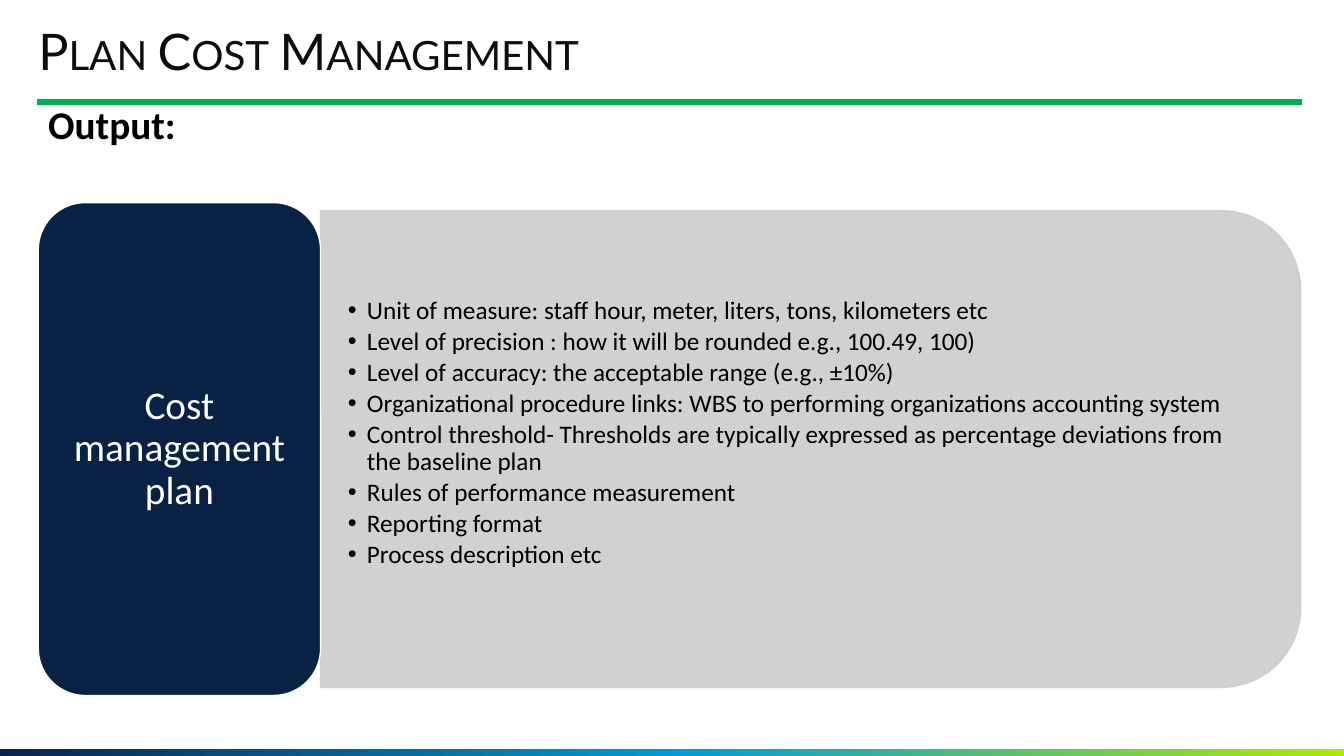
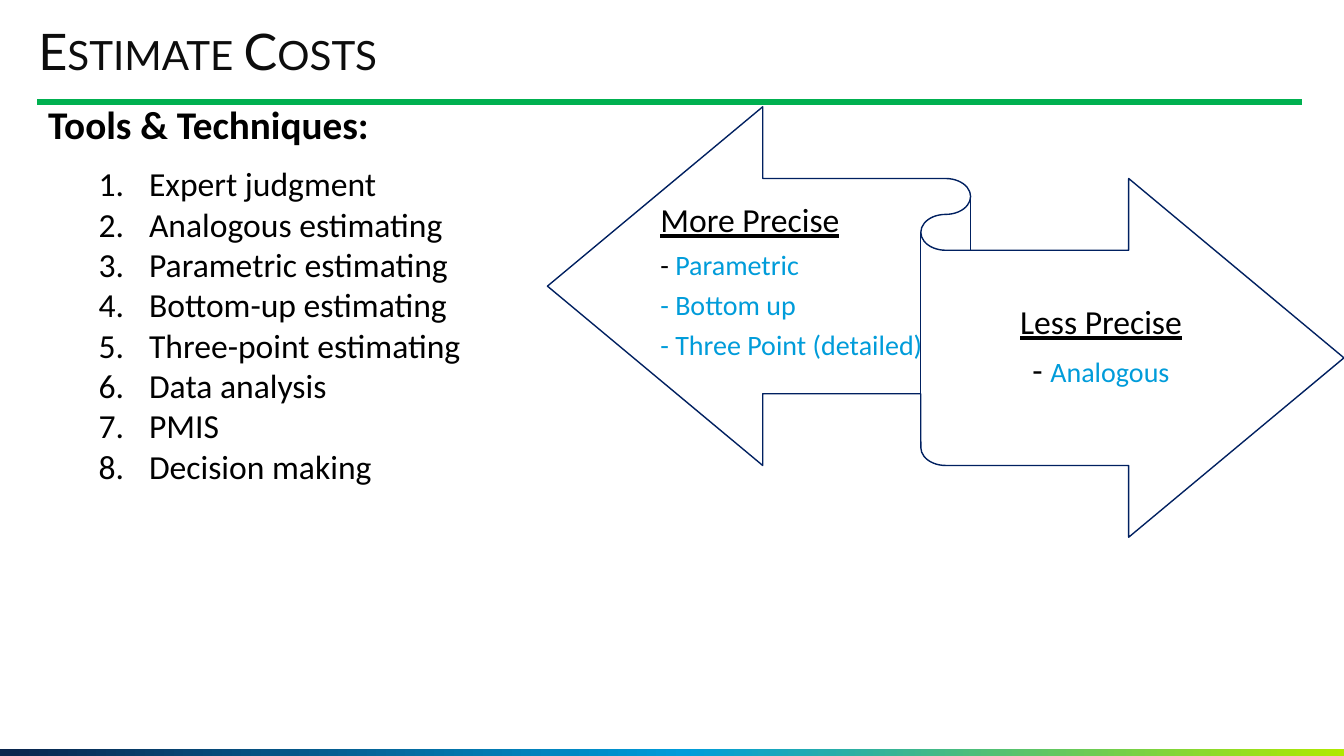
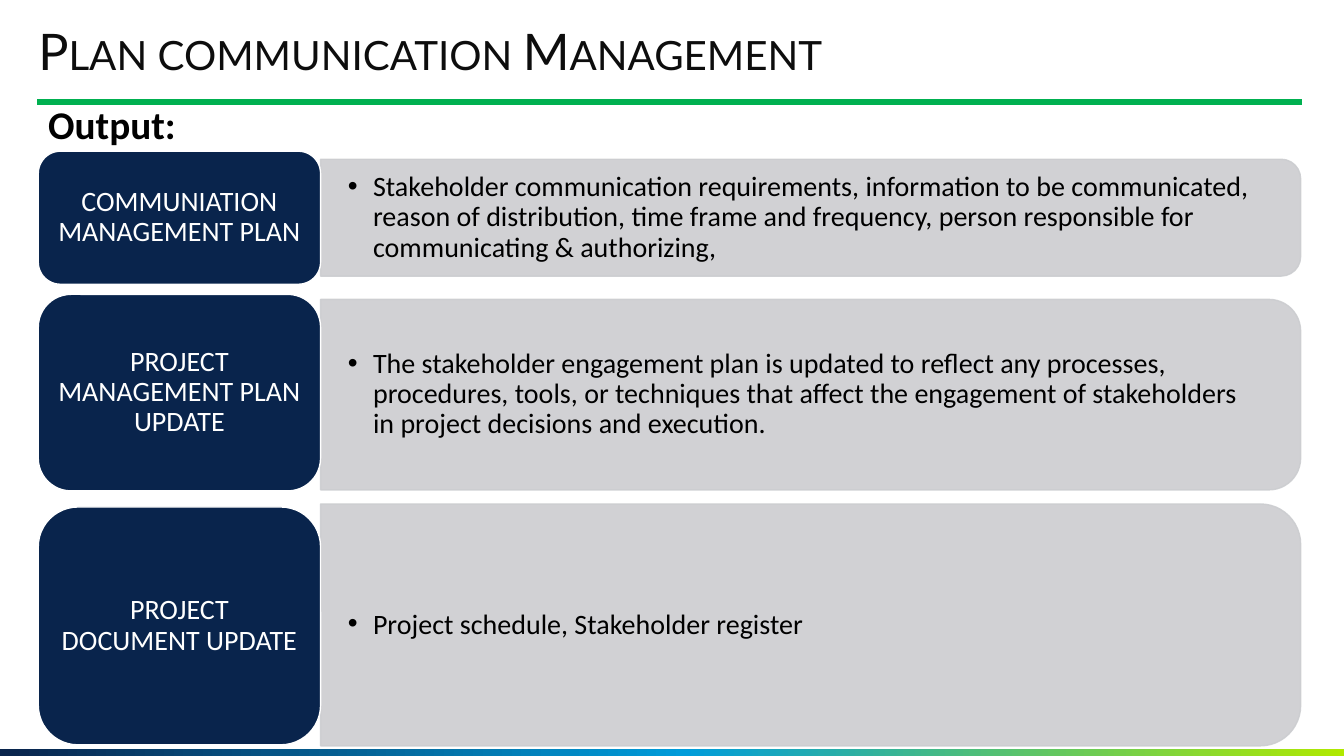
from copy import deepcopy

from lxml.etree import SubElement
from pptx import Presentation
from pptx.dml.color import RGBColor
from pptx.enum.shapes import MSO_CONNECTOR, MSO_SHAPE
from pptx.enum.text import MSO_ANCHOR, PP_ALIGN
from pptx.oxml.ns import qn
from pptx.util import Inches, Pt

BLACK = RGBColor(0x00, 0x00, 0x00)
WHITE = RGBColor(0xFF, 0xFF, 0xFF)
INK = RGBColor(0x0D, 0x0D, 0x0D)
NAVY = RGBColor(0x09, 0x24, 0x4C)
DEEP = RGBColor(0x08, 0x21, 0x45)
EDGE = RGBColor(0x00, 0x20, 0x60)
BLUE = RGBColor(0x00, 0x9C, 0xDA)
LIME = RGBColor(0xB0, 0xE9, 0x00)
GREEN = RGBColor(0x00, 0xB0, 0x50)
GREY = RGBColor(0xCC, 0xCD, 0xD0)

WIDE, HIGH = 13.33, 7.5
LEFT = 0.38
LABEL_W, PANEL_X, PANEL_W = 2.8, 3.18, 9.72
CORNER = 0.16667 * 0.29  # text margin that a rounded corner takes, per unit of side


def write(frame, paras, *, size, color=BLACK, font="Calibri", bold=False,
          caps=False, align=PP_ALIGN.LEFT, anchor=MSO_ANCHOR.TOP,
          inset=(0.1, 0.05, 0.1, 0.05), lines=0.9, after=0, bullet=None,
          indent=0, hang=0):
    """Fill a frame; a paragraph is a string or a list of (text, format) runs."""
    frame.word_wrap = True
    frame.vertical_anchor = anchor
    (frame.margin_left, frame.margin_top,
     frame.margin_right, frame.margin_bottom) = map(Inches, inset)
    for i, runs in enumerate(paras):
        para = frame.add_paragraph() if i else frame.paragraphs[0]
        if isinstance(runs, str):
            runs = [(runs, {})]
        if bullet:
            props = para._p.get_or_add_pPr()
            props.set("marL", str(Inches(indent)))
            props.set("indent", str(-Inches(hang)))
            if bullet == "1.":
                SubElement(props, qn("a:buAutoNum"), type="arabicPeriod")
            else:
                SubElement(props, qn("a:buFont"), typeface="Arial")
                SubElement(props, qn("a:buChar"), char=bullet)
        para.alignment = align
        para.line_spacing = lines
        para.space_after = Pt(after * runs[0][1].get("size", size))
        for text, style in runs:
            run = para.add_run()
            run.text = text
            run.font.name = font
            run.font.size = Pt(style.get("size", size))
            run.font.bold = bold
            run.font.underline = style.get("under", False)
            run.font.color.rgb = style.get("color", color)
            if caps:
                run._r.get_or_add_rPr().set("cap", "small")


def add_text(slide, x, y, w, h, paras, **style):
    box = slide.shapes.add_textbox(*map(Inches, (x, y, w, h)))
    write(box.text_frame, paras, **style)


def add_form(slide, kind, x, y, w, h, fill=None, line=None):
    form = slide.shapes.add_shape(kind, *map(Inches, (x, y, w, h)))
    form.shadow.inherit = False
    if fill is None:
        form.fill.background()
    else:
        form.fill.solid()
        form.fill.fore_color.rgb = fill
    if line is None:
        form.line.fill.background()
    else:
        form.line.color.rgb = line
        form.line.width = Pt(1)
    return form


def add_band(slide):
    """Gradient strip along the foot of the slide."""
    band = add_form(slide, MSO_SHAPE.RECTANGLE, 0, HIGH - 0.07, WIDE, 0.07)
    band.fill.gradient()
    band.fill.gradient_angle = 0
    stops = band._element.spPr.find(".//" + qn("a:gsLst"))
    stops.append(deepcopy(stops[0]))
    marks = ((0, NAVY), (0.51, BLUE), (1, LIME))
    for stop, (place, color) in zip(band.fill.gradient_stops, marks):
        stop.position = place
        stop.color.rgb = color


def add_rule(slide):
    rule = slide.shapes.add_connector(
        MSO_CONNECTOR.STRAIGHT, *map(Inches, (0.37, 1.01, 12.91, 1.01)))
    rule.line.color.rgb = GREEN
    rule.line.width = Pt(4.5)
    SubElement(rule._element.spPr, qn("a:effectLst"))


def new_slide(deck, title, head):
    slide = deck.slides.add_slide(deck.slide_layouts[6])
    add_band(slide)
    add_rule(slide)
    add_text(slide, LEFT, 0.27, 11.19, 0.55, [title], size=36, color=INK,
             font="Lato", caps=True, inset=(0, 0, 0, 0))
    add_text(slide, LEFT, 1, 12.53, 0.55, [head], size=28, bold=True)
    return slide


def add_panel(slide, y, h, points, *, size, hang, foot=0.14):
    """Pale panel, rounded on its right side, with bulleted points."""
    w = PANEL_W
    panel = add_form(slide, MSO_SHAPE.ROUND_2_SAME_RECTANGLE,
                     PANEL_X + (w - h) / 2, y + (h - w) / 2, h, w, GREY, GREY)
    panel.rotation = 90
    for tone in panel._element.spPr.iter(qn("a:srgbClr")):
        SubElement(tone, qn("a:alpha"), val="90000")
    trim = CORNER * h
    add_text(slide, PANEL_X, y + trim, w - trim, h - 2 * trim, points,
             size=size, anchor=MSO_ANCHOR.MIDDLE, after=0.15,
             inset=(0.27, 0.14, 0.27, foot), bullet="•", indent=hang, hang=hang)


def add_label(slide, y, h, text, *, size, fill, pad):
    label = add_form(slide, MSO_SHAPE.ROUNDED_RECTANGLE,
                     LEFT, y, LABEL_W, h, fill, WHITE)
    write(label.text_frame, [text], size=size, color=WHITE, after=0.35,
          align=PP_ALIGN.CENTER, anchor=MSO_ANCHOR.MIDDLE,
          inset=(pad, pad / 2, pad, pad / 2))


def add_ribbon(slide, x, y, w, h):
    """Two-way ribbon with a text on each arrow."""
    add_form(slide, MSO_SHAPE.LEFT_RIGHT_RIBBON, x, y, w, h, line=EDGE)
    style = dict(size=20, anchor=MSO_ANCHOR.MIDDLE, after=0.35,
                 inset=(0, 0.09, 0, 0.1))
    top = {"size": 24, "under": True}
    blue = {"color": BLUE}
    add_text(slide, x + 1.12, y + 0.6, 3.23, 2.3, [
        [("More Precise", top)],
        [("- ", {}), ("Parametric", blue)],
        [("- Bottom up", blue)],
        [("- Three Point (detailed)", blue)],
    ], **style)
    add_text(slide, x + 3.95, y + 1.62, 3.08, 1.55, [
        [("Less Precise", top)],
        [("- ", {"size": 24}), ("Analogous", blue)],
    ], align=PP_ALIGN.CENTER, **style)


def cost_plan(deck):
    slide = new_slide(deck, "Plan Cost Management", "Output:")
    add_panel(slide, 2.09, 4.73, [
        "Unit of measure: staff hour, meter, liters, tons, kilometers etc",
        "Level of precision : how it will be rounded e.g., 100.49, 100)",
        "Level of accuracy: the acceptable range (e.g., ±10%)",
        "Organizational procedure links: WBS to performing organizations "
        "accounting system",
        "Control threshold- Thresholds are typically expressed as percentage "
        "deviations from the baseline plan",
        "Rules of performance measurement",
        "Reporting format",
        "Process description etc",
    ], size=18, hang=0.19, foot=0.45)
    add_label(slide, 2.01, 4.89, "Cost management plan",
              size=28, fill=DEEP, pad=0.12)


def cost_tools(deck):
    slide = new_slide(deck, "Estimate Costs", "Tools & Techniques:")
    add_text(slide, LEFT, 1.57, 12.11, 3.33, [
        "Expert judgment", "Analogous estimating", "Parametric estimating",
        "Bottom-up estimating", "Three-point estimating", "Data analysis",
        "PMIS", "Decision making",
    ], size=24, lines=1, bullet="1.", indent=1, hang=0.5)
    add_ribbon(slide, 5.43, 1.06, 7.9, 4.27)


def talk_plan(deck):
    slide = new_slide(deck, "Plan communication Management", "Output:")
    rows = (
        (1.5, 1.32, 1.58, 1.16, "COMMUNIATION MANAGEMENT PLAN",
         "Stakeholder communication requirements, information to be "
         "communicated, reason of distribution, time frame and frequency, "
         "person responsible for communicating & authorizing,"),
        (2.92, 1.95, 2.97, 1.89, "PROJECT MANAGEMENT PLAN UPDATE",
         "The stakeholder engagement plan is updated to reflect any "
         "processes, procedures, tools, or techniques that affect the "
         "engagement of stakeholders in project decisions and execution."),
        (5.03, 2.36, 5, 2.4, "PROJECT DOCUMENT UPDATE",
         "Project schedule, Stakeholder register"),
    )
    for label_y, label_h, panel_y, panel_h, name, point in rows:
        add_panel(slide, panel_y, panel_h, [point], size=20, hang=0.25)
        add_label(slide, label_y, label_h, name, size=20, fill=NAVY, pad=0.08)


def main():
    deck = Presentation()
    deck.slide_width = Inches(WIDE)
    deck.slide_height = Inches(HIGH)
    for build in (cost_plan, cost_tools, talk_plan):
        build(deck)
    deck.save("out.pptx")


if __name__ == "__main__":
    main()
